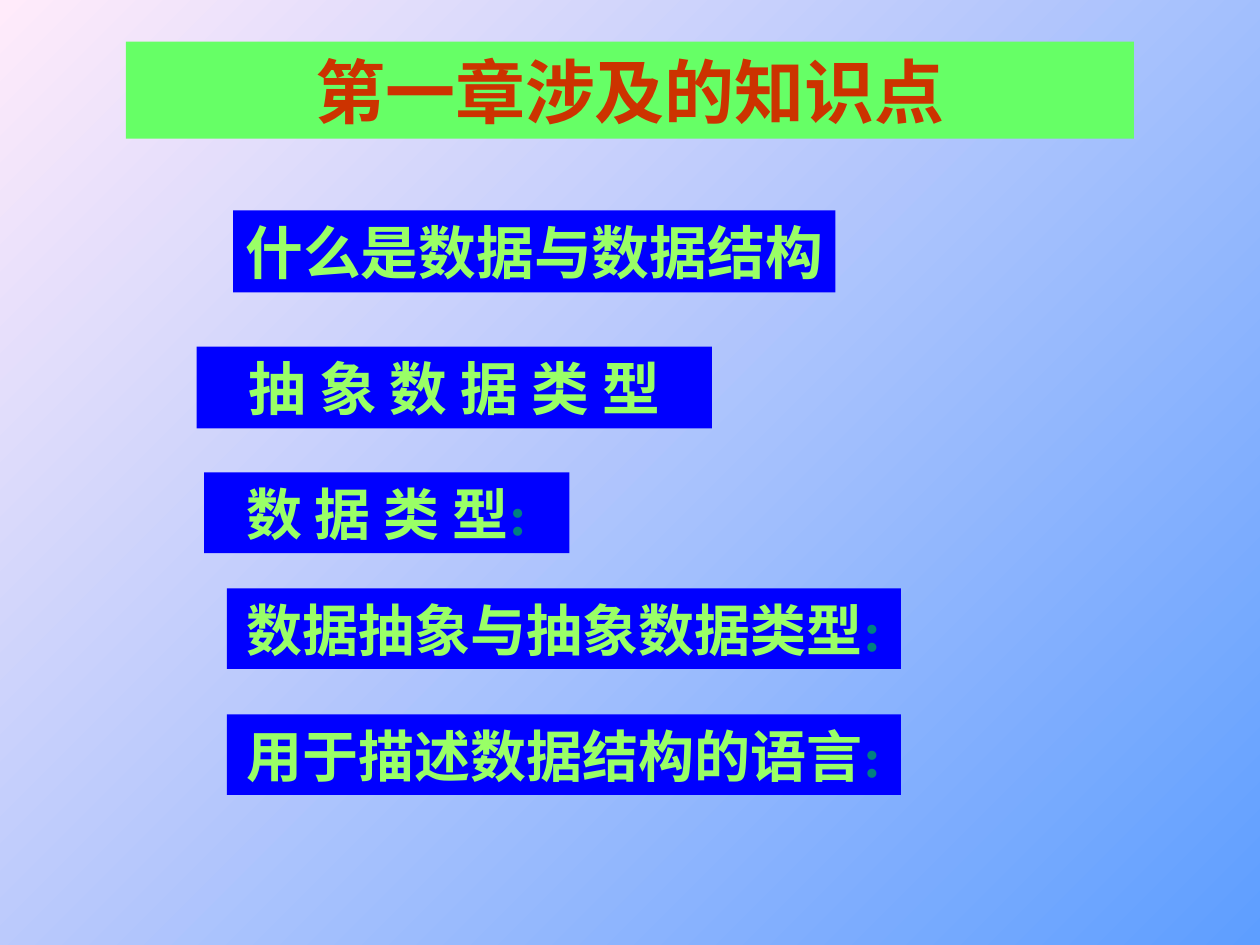
from pptx import Presentation
from pptx.dml.color import RGBColor
from pptx.enum.shapes import MSO_SHAPE
from pptx.enum.text import MSO_ANCHOR, PP_ALIGN
from pptx.util import Inches, Pt

BLUE = RGBColor(0x00, 0x00, 0xFF)
GREEN = RGBColor(0x66, 0xFF, 0x66)
LIME = RGBColor(0x99, 0xFF, 0x66)
TEAL = RGBColor(0x00, 0x80, 0x80)
RED = RGBColor(0xCC, 0x33, 0x00)
SKY = RGBColor(0x5E, 0x9E, 0xFF)
PINK = RGBColor(0xFF, 0xEB, 0xFA)

# left, top, width, height, size, text, closing mark
TOPICS = [
    (1.85, 1.67, 4.78, 0.65, 33, "什么是数据与数据结构", ""),
    (1.56, 2.75, 4.09, 0.65, 33, "抽 象 数 据 类 型", ""),
    (1.62, 3.75, 2.9, 0.64, 32, "数 据 类 型", ":"),
    (1.8, 4.67, 5.35, 0.64, 32, "数据抽象与抽象数据类型", ":"),
    (1.8, 5.67, 5.35, 0.64, 32, "用于描述数据结构的语言", ":"),
]


def paint_background(slide):
    fill = slide.background.fill
    fill.gradient()
    fill.gradient_angle = 135
    for stop, color in zip(fill.gradient_stops, (SKY, PINK)):
        stop.color.rgb = color


def add_banner(slide, box, fill, runs, size, font, wrap):
    """Add a filled bar; runs is a list of (text, colour) pairs."""
    sp = slide.shapes.add_shape(MSO_SHAPE.RECTANGLE, *map(Inches, box))
    sp.shadow.inherit = False
    sp.fill.solid()
    sp.fill.fore_color.rgb = fill
    sp.line.fill.background()
    tf = sp.text_frame
    tf.word_wrap = wrap
    tf.vertical_anchor = MSO_ANCHOR.MIDDLE
    p = tf.paragraphs[0]
    p.alignment = PP_ALIGN.CENTER
    for text, color in runs:
        r = p.add_run()
        r.text = text
        r.font.name = font
        r.font.size = Pt(size)
        r.font.bold = True
        r.font.color.rgb = color


def add_title(slide, box):
    add_banner(slide, box, GREEN, [("第一章涉及的知识点", RED)],
               40, "Noto Sans CJK SC", True)


def add_topics(slide):
    for *box, size, text, mark in TOPICS:
        runs = [(text, LIME)] + ([(mark, TEAL)] if mark else [])
        add_banner(slide, box, BLUE, runs, size, "Times New Roman", False)


def main():
    prs = Presentation()
    prs.slide_width, prs.slide_height = Inches(10), Inches(7.5)
    slide = prs.slides.add_slide(prs.slide_layouts[6])
    paint_background(slide)
    add_title(slide, (1, 0.33, 8, 0.77))
    add_topics(slide)
    prs.save("out.pptx")


if __name__ == "__main__":
    main()
